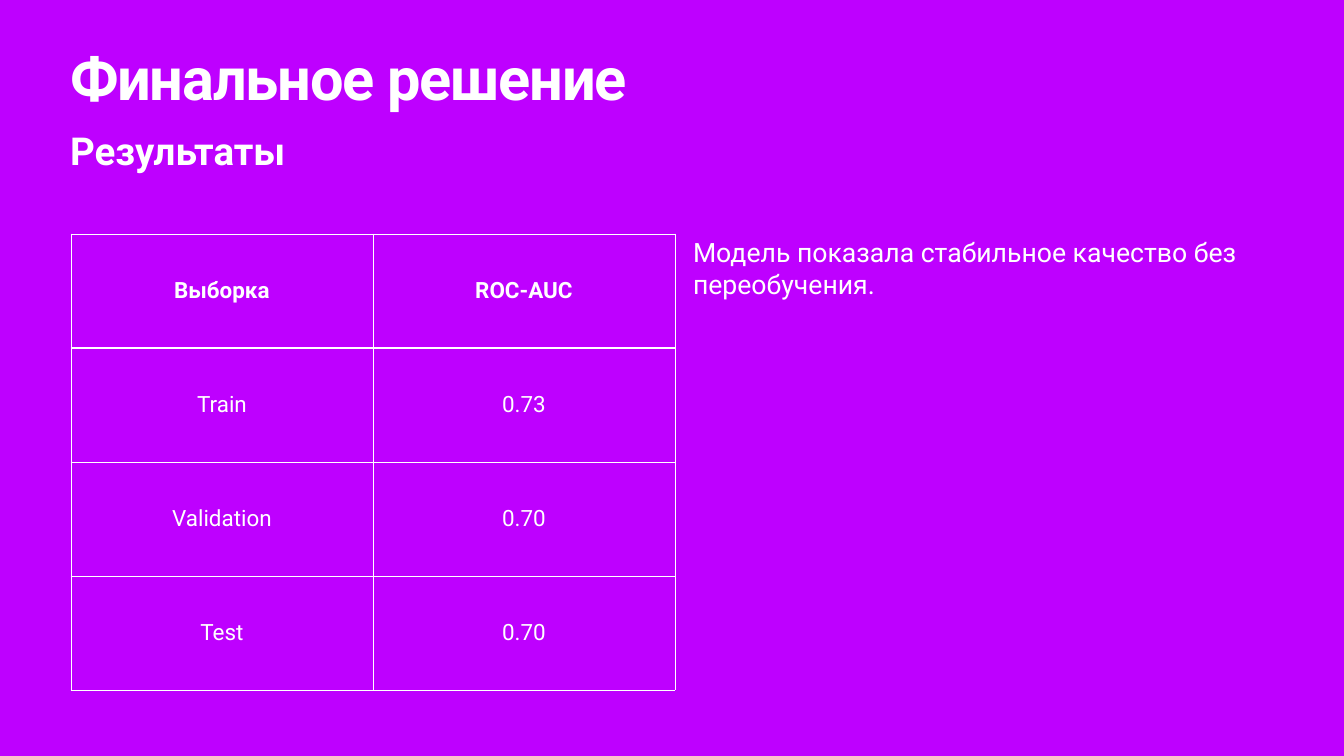
from lxml.etree import SubElement
from pptx import Presentation
from pptx.dml.color import RGBColor
from pptx.enum.text import MSO_ANCHOR as Anchor, PP_ALIGN as Align
from pptx.oxml.ns import qn
from pptx.util import Emu, Pt

PX = 914400 / 50.4  # EMU in one px
PURPLE = RGBColor(0xBE, 0x00, 0xFF)
WHITE = RGBColor(0xFF, 0xFF, 0xFF)
FONT = "Roboto"
INSET = 3


def px(length):
    return Emu(round(length * PX))


class SlideBuilder:
    def __init__(self, slide):
        self.slide = slide

    def background(self, color):
        fill = self.slide.background.fill
        fill.solid()
        fill.fore_color.rgb = color

    def add_text_run(self, paragraph, text, size, bold=False, tracking=None):
        run = paragraph.add_run()
        run.text = text
        run.font.name = FONT
        run.font.size = Pt(size)
        run.font.bold = bold
        run.font.color.rgb = WHITE
        if tracking is not None:
            run._r.get_or_add_rPr().set("spc", str(tracking))

    def text(self, box, text, size, anchor=Anchor.TOP, line_spacing=None, **style):
        frame = self.slide.shapes.add_textbox(*map(px, box)).text_frame
        frame.word_wrap = True
        frame.vertical_anchor = anchor
        frame.margin_left = frame.margin_right = px(INSET)
        frame.margin_top = frame.margin_bottom = px(INSET)
        paragraph = frame.paragraphs[0]
        paragraph.line_spacing = line_spacing
        self.add_text_run(paragraph, text, size, **style)

    def border(self, cell, side, points):
        properties = cell._tc.get_or_add_tcPr()
        line = SubElement(properties, qn(f"a:ln{side}"), w=str(Pt(points)))
        fill = SubElement(line, qn("a:solidFill"))
        SubElement(fill, qn("a:srgbClr"), val=str(WHITE))

    def table(self, left, top, column_width, row_height, rows, size):
        columns = len(rows[0])
        box = (left, top, column_width * columns, row_height * len(rows))
        table = self.slide.shapes.add_table(len(rows), columns, *map(px, box)).table
        table.horz_banding = False
        for column in table.columns:
            column.width = px(column_width)
        for row_index, values in enumerate(rows):
            table.rows[row_index].height = px(row_height)
            for column_index, value in enumerate(values):
                cell = table.cell(row_index, column_index)
                cell.vertical_anchor = Anchor.MIDDLE
                cell.margin_left = cell.margin_right = px(INSET)
                cell.margin_top = cell.margin_bottom = px(INSET)
                # The line under the header is thicker
                for side in "LRTB":
                    header_rule = (row_index, side) in ((0, "B"), (1, "T"))
                    self.border(cell, side, 3 if header_rule else 1)
                cell.fill.background()
                paragraph = cell.text_frame.paragraphs[0]
                paragraph.alignment = Align.CENTER
                paragraph.line_spacing = 0.9
                self.add_text_run(paragraph, value, size, bold=row_index == 0)


def main():
    presentation = Presentation()
    presentation.slide_width = px(1344)
    presentation.slide_height = px(756)
    builder = SlideBuilder(presentation.slides.add_slide(presentation.slide_layouts[6]))
    builder.background(PURPLE)

    # Headings
    builder.text((67, 52, 1211, 79), "Финальное решение", 85,
                 line_spacing=0.8, bold=True, tracking=-170)
    builder.text((67, 124, 1211, 51), "Результаты", 55, bold=True)

    # Scores by sample
    scores = [
        ("Выборка", "ROC-AUC"),
        ("Train", "0.73"),
        ("Validation", "0.70"),
        ("Test", "0.70"),
    ]
    builder.table(71, 234, 302, 114, scores, 32)

    # Conclusion
    builder.text((690, 234, 612, 68),
                 "Модель показала стабильное качество без переобучения.",
                 38, anchor=Anchor.MIDDLE)

    presentation.save("out.pptx")


if __name__ == "__main__":
    main()
